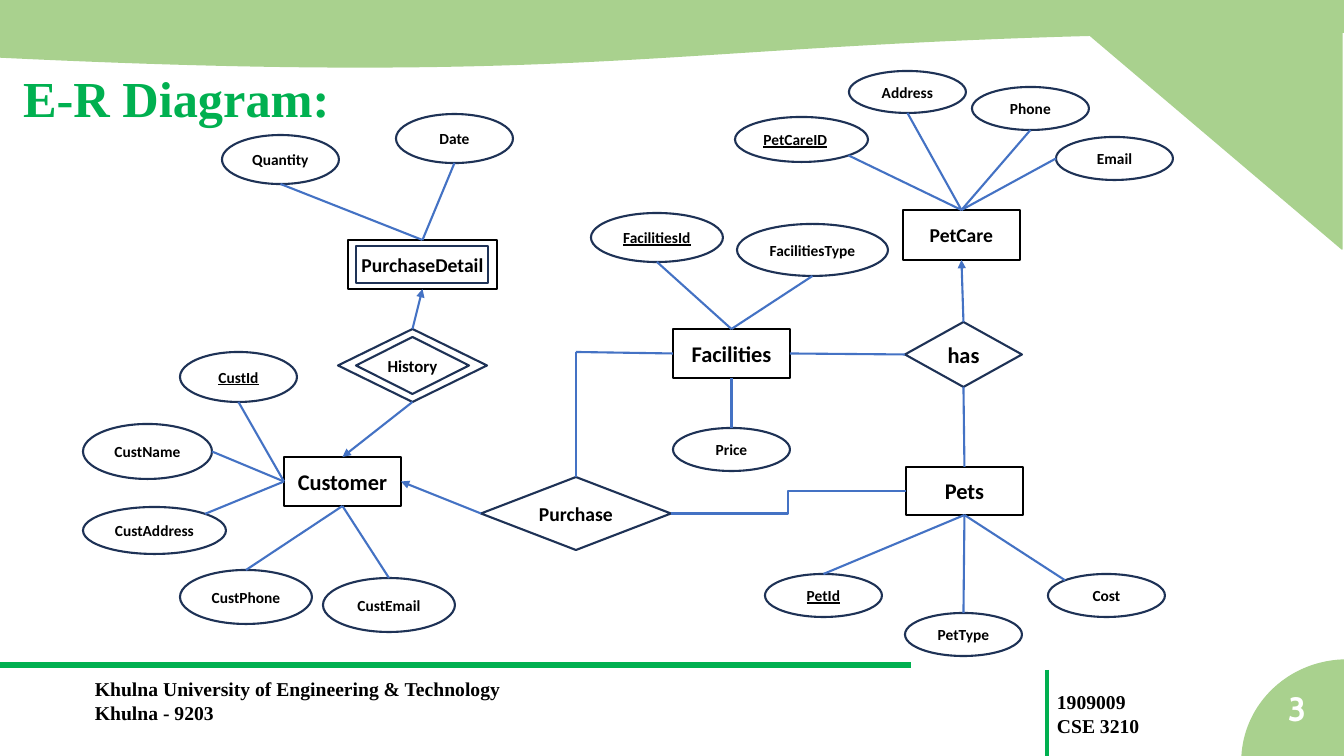
from typing import NamedTuple

from lxml.etree import SubElement
from pptx import Presentation
from pptx.dml.color import RGBColor
from pptx.enum.shapes import MSO_CONNECTOR, MSO_SHAPE
from pptx.enum.text import MSO_ANCHOR, PP_ALIGN
from pptx.oxml.ns import qn
from pptx.util import Emu, Pt

SCALE = 914400 / 100.8
GREEN, LEAF, NAVY, BLUE, BLACK, WHITE = "00B050", "A9D18E", "1E3256", "4472C4", "000000", "FFFFFF"
SERIF, SANS = "Times New Roman", "Calibri"
SIDES = ["top", "left", "bottom", "right"]
SITES = {
    "top": (0.5, 0), "left": (0, 0.5), "bottom": (0.5, 1), "right": (1, 0.5),
    "top left": (0.146, 0.146), "top right": (0.854, 0.146), "bottom right": (0.854, 0.854),
}


class Box(NamedTuple):
    left: int
    top: int
    width: int
    height: int


class Node(NamedTuple):
    name: str
    box: Box
    size: int
    kind: MSO_SHAPE


class Attribute(NamedTuple):
    name: str
    box: Box
    site: str
    entity: str
    side: str
    key: bool = False


class Link(NamedTuple):
    source: str
    source_side: str
    target: str
    target_side: str
    arrow: bool = False
    kind: MSO_CONNECTOR = MSO_CONNECTOR.STRAIGHT


class Caption(NamedTuple):
    text: str
    box: Box
    size: int
    font: str
    color: str
    wrap: bool = True


RECTANGLE, DIAMOND, OVAL = MSO_SHAPE.RECTANGLE, MSO_SHAPE.DIAMOND, MSO_SHAPE.OVAL
NODES = [
    Node("Pets", Box(906, 467, 117, 48), 16, RECTANGLE),
    Node("PetCare", Box(903, 210, 117, 50), 14, RECTANGLE),
    Node("Facilities", Box(673, 329, 117, 49), 16, RECTANGLE),
    Node("Customer", Box(284, 457, 117, 49), 16, RECTANGLE),
    Node("PurchaseDetail", Box(348, 240, 149, 49), 14, RECTANGLE),
    Node("has", Box(905, 322, 117, 65), 16, DIAMOND),
    Node("Purchase", Box(481, 477, 190, 73), 14, DIAMOND),
    Node("History", Box(338, 329, 149, 73), 12, DIAMOND),
]
INNER_OUTLINES = [(RECTANGLE, Box(356, 246, 132, 37)), (DIAMOND, Box(356, 337, 113, 57))]
ATTRIBUTES = [
    Attribute("Address", Box(849, 71, 117, 42), "bottom", "PetCare", "top"),
    Attribute("PetCareID", Box(735, 117, 133, 45), "bottom right", "PetCare", "top", True),
    Attribute("Phone", Box(972, 87, 117, 43), "bottom", "PetCare", "top"),
    Attribute("Email", Box(1056, 137, 117, 43), "left", "PetCare", "top"),
    Attribute("Cost", Box(1048, 574, 117, 43), "top left", "Pets", "bottom"),
    Attribute("PetType", Box(905, 613, 117, 43), "top", "Pets", "bottom"),
    Attribute("PetId", Box(765, 574, 117, 43), "top", "Pets", "bottom", True),
    Attribute("Price", Box(673, 428, 117, 43), "top", "Facilities", "bottom"),
    Attribute("FacilitiesType", Box(737, 224, 151, 52), "bottom", "Facilities", "top"),
    Attribute("FacilitiesId", Box(591, 213, 132, 49), "bottom", "Facilities", "top", True),
    Attribute("CustEmail", Box(323, 578, 132, 54), "top", "Customer", "bottom"),
    Attribute("CustPhone", Box(180, 570, 132, 54), "top", "Customer", "bottom"),
    Attribute("CustAddress", Box(83, 507, 143, 47), "top right", "Customer", "left"),
    Attribute("CustName", Box(83, 424, 129, 55), "right", "Customer", "left"),
    Attribute("CustId", Box(180, 352, 117, 50), "bottom", "Customer", "left", True),
    Attribute("Date", Box(396, 114, 117, 49), "bottom", "PurchaseDetail", "top"),
    Attribute("Quantity", Box(222, 135, 117, 49), "bottom", "PurchaseDetail", "top"),
]
LINKS = [
    Link("Pets", "left", "Purchase", "right", kind=MSO_CONNECTOR.ELBOW),
    Link("Purchase", "left", "Customer", "right", True),
    Link("has", "top", "PetCare", "bottom", True),
    Link("has", "bottom", "Pets", "top"),
    Link("has", "left", "Facilities", "right"),
    Link("History", "top", "PurchaseDetail", "bottom", True),
    Link("History", "bottom", "Customer", "top", True),
]
CAPTIONS = [
    Caption("Khulna University of Engineering & Technology\nKhulna - 9203",
            Box(85, 672, 442, 58), 14, SERIF, BLACK),
    Caption("1909009\nCSE 3210", Box(1047, 685, 171, 58), 14, SERIF, BLACK),
    Caption("3", Box(1278, 683, 39, 51), 24, "Cabin", WHITE, False),
]


def px(value: float) -> Emu:
    """Turn pixels into EMU."""
    return Emu(round(value * SCALE))


def paint(color_format, color: str) -> None:
    """Set a colour from a hex string."""
    color_format.rgb = RGBColor.from_string(color)


def style_text(frame, size: int, font: str, color: str, align=PP_ALIGN.LEFT, underline=None) -> None:
    """Format every run of a text frame in bold."""
    for para in frame.paragraphs:
        para.alignment = align
        for span in para.runs:
            span.font.size, span.font.name = Pt(size), font
            span.font.bold, span.font.underline = True, underline
            paint(span.font.color, color)


def add_outline(page, kind: MSO_SHAPE, box: Box, color: str, width: float = 1.5, fill: str = ""):
    """Add a preset shape, hollow unless a fill is given."""
    shape = page.shapes.add_shape(kind, *map(px, box))
    shape.shadow.inherit = False
    if fill:
        shape.fill.solid()
        paint(shape.fill.fore_color, fill)
    else:
        shape.fill.background()
    paint(shape.line.color, color)
    shape.line.width = Pt(width)
    return shape


def add_label(shape, text: str, size: int, align=PP_ALIGN.CENTER, underline=None) -> None:
    """Write a label inside a diagram shape."""
    frame = shape.text_frame
    frame.text = text
    frame.vertical_anchor = MSO_ANCHOR.MIDDLE
    frame.margin_left = frame.margin_right = px(9)
    style_text(frame, size, SANS, BLACK, align, underline)


def add_line(page, start, end, color: str = BLUE, width: float = 1.5,
             arrow: bool = False, kind=MSO_CONNECTOR.STRAIGHT):
    """Add a connector between two pixel points."""
    line = page.shapes.add_connector(kind, *map(px, (*start, *end)))
    paint(line.line.color, color)
    line.line.width = Pt(width)
    if arrow:
        SubElement(line.line._get_or_add_ln(), qn("a:tailEnd"), type="triangle")
    SubElement(line._element.spPr, qn("a:effectLst"))
    return line


def site_point(box: Box, site: str) -> tuple[float, float]:
    """Find a connection point on the edge of a box."""
    across, down = SITES[site]
    return box.left + across * box.width, box.top + down * box.height


def add_decor(page) -> None:
    """Draw the green frame, the rules and the captions."""
    corner = add_outline(page, MSO_SHAPE.ISOSCELES_TRIANGLE, Box(1059, 9, 283, 240), LEAF, 1, LEAF)
    corner.adjustments[0] = 0
    corner.rotation = 180
    add_outline(page, OVAL, Box(1242, 660, 210, 203), LEAF, 1, LEAF)
    add_outline(page, MSO_SHAPE.FLOWCHART_DOCUMENT, Box(-3, -119, 1349, 188), LEAF, 1.5, LEAF)
    add_line(page, (0, 665), (911, 665), GREEN, 4.5)
    add_line(page, (1047, 670), (1047, 756), GREEN, 3)
    for caption in CAPTIONS:
        frame = page.shapes.add_textbox(*map(px, caption.box)).text_frame
        frame.word_wrap = caption.wrap
        frame.text = caption.text
        style_text(frame, caption.size, caption.font, caption.color)


def add_title(page) -> None:
    """Fill and place the title placeholder."""
    title = page.shapes.title
    title.left, title.top, title.width, title.height = map(px, (13, 29, 947, 145))
    title.text_frame.text = "E-R Diagram:"
    title.text_frame.vertical_anchor = MSO_ANCHOR.MIDDLE
    title.text_frame.paragraphs[0].line_spacing = 0.9
    style_text(title.text_frame, 36, SERIF, GREEN)


def add_diagram(page) -> None:
    """Draw entities, relationships, attributes and their links."""
    shapes = {}
    boxes = {node.name: node.box for node in NODES}
    for node in NODES:
        shapes[node.name] = add_outline(page, node.kind, node.box, BLACK if node.kind == RECTANGLE else NAVY)
        add_label(shapes[node.name], node.name, node.size)
    for kind, box in INNER_OUTLINES:
        add_outline(page, kind, box, NAVY)
    for item in ATTRIBUTES:
        oval = add_outline(page, OVAL, item.box, NAVY)
        align = PP_ALIGN.JUSTIFY if item.name == "PetCareID" else PP_ALIGN.CENTER
        add_label(oval, item.name, 11, align, item.key or None)
        line = add_line(page, site_point(item.box, item.site), site_point(boxes[item.entity], item.side))
        line.end_connect(shapes[item.entity], SIDES.index(item.side))
    for link in LINKS:
        start = site_point(boxes[link.source], link.source_side)
        end = site_point(boxes[link.target], link.target_side)
        line = add_line(page, start, end, arrow=link.arrow, kind=link.kind)
        line.begin_connect(shapes[link.source], SIDES.index(link.source_side))
        line.end_connect(shapes[link.target], SIDES.index(link.target_side))
    bend = (576, 352)
    for name, side in (("Purchase", "top"), ("Facilities", "left")):
        line = add_line(page, bend, site_point(boxes[name], side))
        line.end_connect(shapes[name], SIDES.index(side))


deck = Presentation()
deck.slide_width, deck.slide_height = px(1344), px(756)
slide = deck.slides.add_slide(deck.slide_layouts[5])
add_decor(slide)
add_title(slide)
add_diagram(slide)
deck.save("out.pptx")
